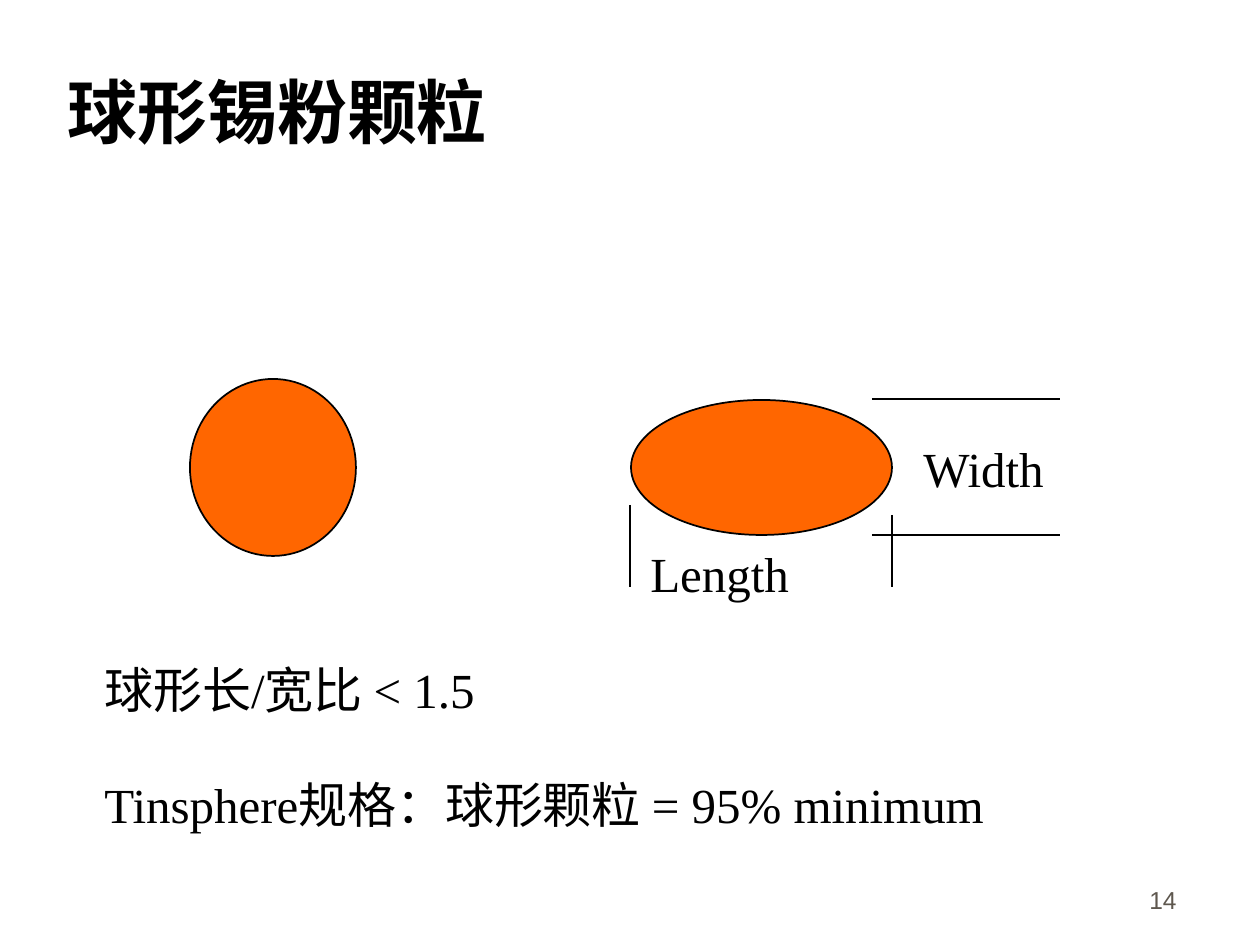
from dataclasses import dataclass

from lxml.etree import SubElement
from pptx import Presentation
from pptx.dml.color import RGBColor
from pptx.enum.shapes import MSO_CONNECTOR, MSO_SHAPE
from pptx.enum.text import MSO_ANCHOR, PP_ALIGN
from pptx.oxml.ns import qn
from pptx.slide import Slide
from pptx.util import Pt

EMU_PER_PX = 914400 / 126
BLACK = "000000"
ORANGE = "FF6600"
GREY = "5E574E"


@dataclass(frozen=True)
class Ellipse:
    left: int
    top: int
    width: int
    height: int


@dataclass(frozen=True)
class Line:
    x1: int
    y1: int
    x2: int
    y2: int


@dataclass(frozen=True)
class Label:
    left: int
    top: int
    width: int
    height: int
    lines: tuple[str, ...]
    size: int = 28
    font: str = "Times New Roman"
    color: str = BLACK
    bold: bool = False
    wrap: bool = False
    gap: int = 0
    anchor: MSO_ANCHOR = MSO_ANCHOR.TOP
    align: PP_ALIGN = PP_ALIGN.LEFT


PARTICLES = (Ellipse(631, 400, 261, 135), Ellipse(190, 379, 166, 177))
GAUGE_LINES = (
    Line(630, 505, 630, 587),
    Line(892, 515, 892, 587),
    *(Line(872, y, 1060, y) for y in (399, 535)),
)
LABELS = (
    Label(55, 32, 1071, 158, ("球形锡粉颗粒",), size=40, bold=True,
          wrap=True, anchor=MSO_ANCHOR.MIDDLE),
    Label(911, 432, 147, 71, ("Width",)),
    Label(638, 537, 164, 71, ("Length",)),
    Label(92, 653, 927, 189,
          ("球形长/宽比 < 1.5", "Tinsphere规格：球形颗粒 = 95% minimum"), gap=32),
    Label(927, 858, 262, 63, ("14",), size=14, font="Arial", color=GREY,
          wrap=True, anchor=MSO_ANCHOR.BOTTOM, align=PP_ALIGN.RIGHT),
)


def px(length: int) -> int:
    return round(length * EMU_PER_PX)


def rgb(color: str) -> RGBColor:
    return RGBColor.from_string(color)


def draw_ellipse(page: Slide, item: Ellipse) -> None:
    shape = page.shapes.add_shape(MSO_SHAPE.OVAL, px(item.left), px(item.top),
                                  px(item.width), px(item.height))
    shape.shadow.inherit = False
    shape.fill.solid()
    shape.fill.fore_color.rgb = rgb(ORANGE)
    shape.line.color.rgb = rgb(BLACK)
    shape.line.width = Pt(1)


def draw_line(page: Slide, item: Line) -> None:
    line = page.shapes.add_connector(MSO_CONNECTOR.STRAIGHT, px(item.x1),
                                     px(item.y1), px(item.x2), px(item.y2))
    line.line.color.rgb = rgb(BLACK)
    line.line.width = Pt(1)
    SubElement(line._element.spPr, qn("a:effectLst"))


def draw_label(page: Slide, item: Label) -> None:
    box = page.shapes.add_textbox(px(item.left), px(item.top),
                                  px(item.width), px(item.height))
    frame = box.text_frame
    frame.word_wrap = item.wrap
    frame.vertical_anchor = item.anchor
    frame.text = "\n".join(item.lines)
    for index, para in enumerate(frame.paragraphs):
        para.alignment = item.align
        if index:
            para.space_before = Pt(item.gap)
        para.font.name = item.font
        para.font.size = Pt(item.size)
        para.font.bold = item.bold
        para.font.color.rgb = rgb(item.color)


def main() -> None:
    deck = Presentation()
    deck.slide_width, deck.slide_height = px(1260), px(945)
    page = deck.slides.add_slide(deck.slide_layouts[6])
    for particle in PARTICLES:
        draw_ellipse(page, particle)
    for line in GAUGE_LINES:
        draw_line(page, line)
    for label in LABELS:
        draw_label(page, label)
    deck.save("out.pptx")


if __name__ == "__main__":
    main()
